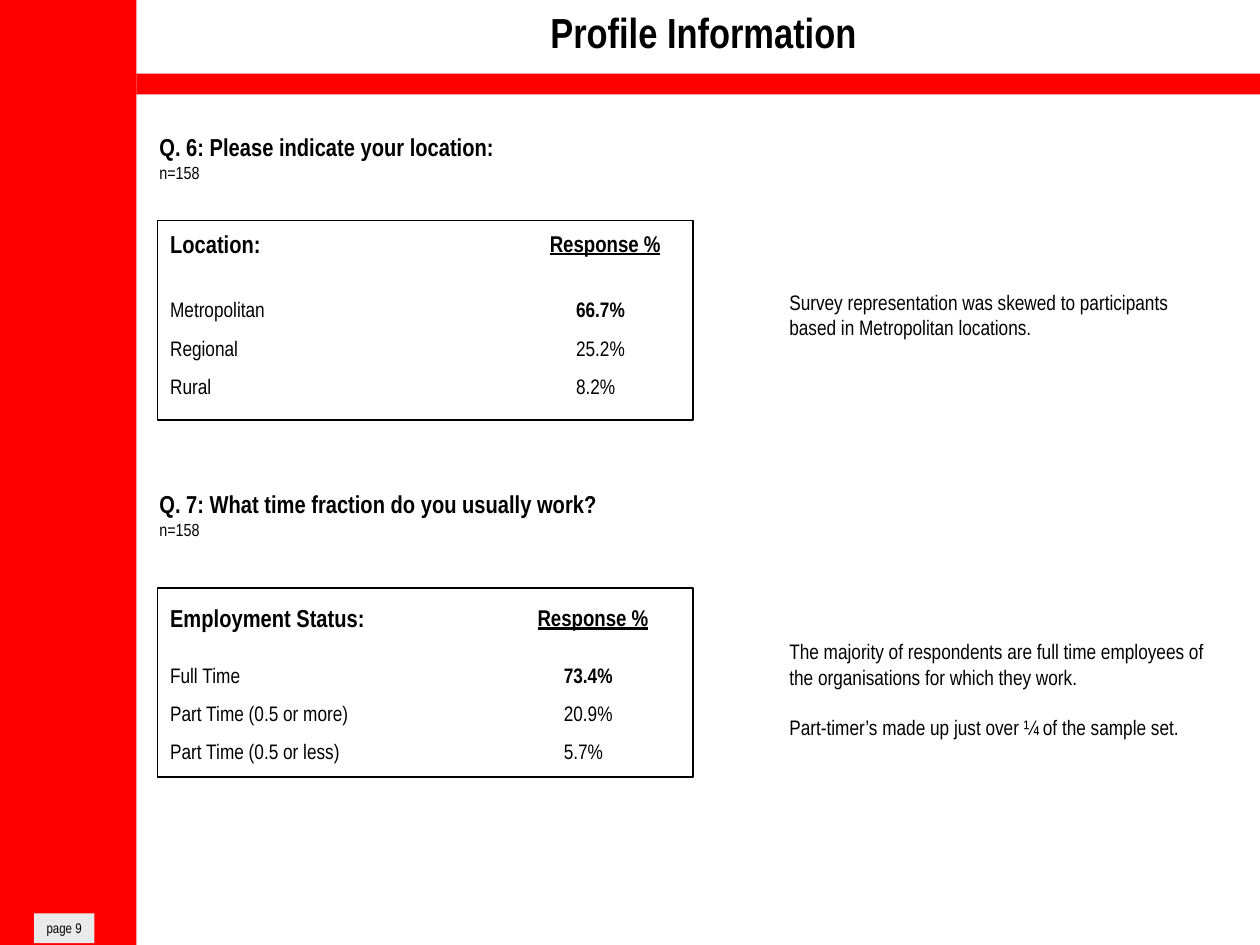
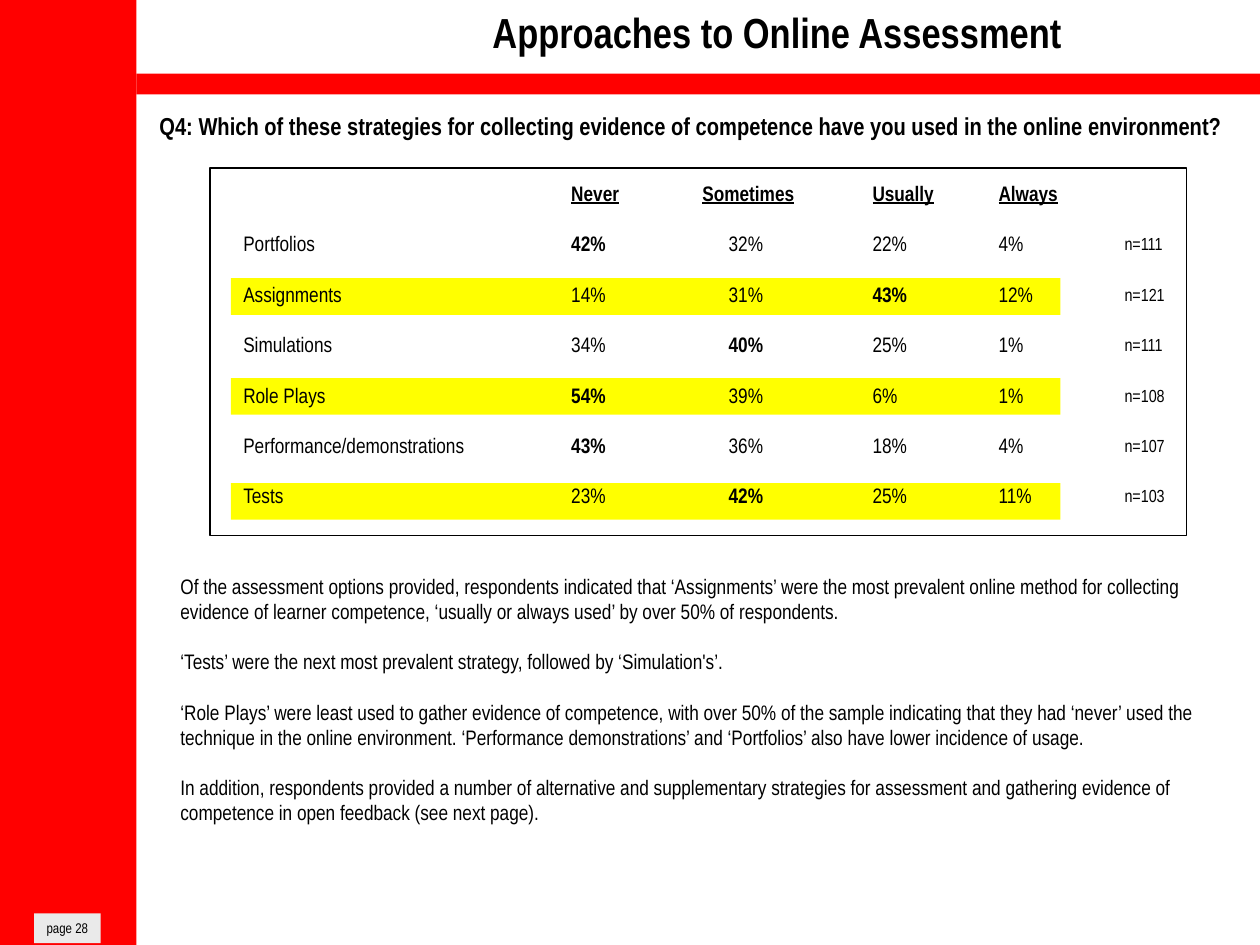
"""Build two survey result slides with red bands, tables and comments."""
from pptx import Presentation
from pptx.dml.color import RGBColor
from pptx.enum.shapes import MSO_SHAPE
from pptx.enum.text import MSO_ANCHOR, MSO_AUTO_SIZE, PP_ALIGN
from pptx.util import Pt

RECT = MSO_SHAPE.RECTANGLE
TOP, MIDDLE = MSO_ANCHOR.TOP, MSO_ANCHOR.MIDDLE
CENTER, LEFT = PP_ALIGN.CENTER, PP_ALIGN.LEFT
NO_FIT = MSO_AUTO_SIZE.NONE

RED = RGBColor(0xFF, 0x00, 0x00)
YELLOW = RGBColor(0xFF, 0xFF, 0x00)
GREY = RGBColor(0xEA, 0xEA, 0xEA)
BLACK = RGBColor(0x00, 0x00, 0x00)

FONT = "Arial Narrow"
PLAIN_GRID = "{2D5ABB26-0587-4C30-8999-92F81FD0307C}"
TITLE_ONLY = 5
PAD, INDENT = 7.2, 15


def write(para, text, size, bold=False, under=False):
    """Add one styled run to a paragraph."""
    run = para.add_run()
    run.text = text
    font = run.font
    font.name, font.size, font.bold = FONT, Pt(size), bold
    font.underline = under
    font.color.rgb = BLACK


def block(slide, box, fill=None, line=None):
    """Draw a rectangle with an optional fill and outline."""
    shape = slide.shapes.add_shape(RECT, *map(Pt, box))
    shape.shadow.inherit = False
    if fill is None:
        shape.fill.background()
    else:
        shape.fill.solid()
        shape.fill.fore_color.rgb = fill
    if line is None:
        shape.line.fill.background()
    else:
        shape.line.color.rgb = line
        shape.line.width = Pt(0.75)
    return shape


def note(slide, box, lines, gap=0):
    """Add a text box of (text, size, bold) lines set apart by a gap."""
    frame = slide.shapes.add_textbox(*map(Pt, box)).text_frame
    frame.word_wrap = True
    for i, line in enumerate(lines):
        para = frame.add_paragraph() if i else frame.paragraphs[0]
        if i:
            para.space_before = Pt(gap)
        write(para, *line)


def remark(slide, box, texts):
    """Add plain comment paragraphs one blank line apart."""
    note(slide, box, [(text, 12) for text in texts], 14.4)


def ask(slide, top, text):
    """Add a question with its sample size."""
    note(slide, (84, top, 336, 36), [(text, 14, True), ("n=158", 10)])


def grid(slide, left, top, widths, heights):
    """Add a table without fills, borders or banding."""
    box = map(Pt, (left, top, sum(widths), sum(heights)))
    shape = slide.shapes.add_table(len(heights), len(widths), *box)
    table = shape.table
    table.first_row = table.horz_banding = False
    props = shape._element.graphic.graphicData.tbl.tblPr
    props[0].text = PLAIN_GRID
    for col, width in zip(table.columns, widths):
        col.width = Pt(width)
    for row, height in zip(table.rows, heights):
        row.height = Pt(height)
    return table


def put(cell, text, size=12, bold=False, under=False, indent=0, foot=0):
    """Fill one table cell."""
    cell.fill.background()
    cell.vertical_anchor = MIDDLE
    cell.margin_left, cell.margin_right = Pt(PAD + indent), Pt(0)
    cell.margin_top, cell.margin_bottom = Pt(0), Pt(foot)
    if text:
        write(cell.text_frame.paragraphs[0], text, size, bold, under)


def shares(slide, top, split, head, foot, step, label, rows):
    """Add a two-column table of answers, with the first share in bold."""
    heights = [head] + [step] * len(rows)
    table = grid(slide, 90, top, (split - 90, 396 - split), heights)
    put(table.cell(0, 0), label, 14, True, foot=foot)
    put(table.cell(0, 1), "Response %", 13, True, True, foot=foot)
    for i, (name, share) in enumerate(rows, 1):
        put(table.cell(i, 0), name)
        put(table.cell(i, 1), share, bold=i == 1, indent=INDENT)


def usage(slide, rows):
    """Add the strategy table, with the highest share of each row in bold."""
    heads = ("", "Never", "Sometimes", "Usually", "Always", "")
    widths = (187.4, 75, 97.2, 72, 72, 42.4)
    table = grid(slide, 131.8, 97.6, widths, [28.8] * (len(rows) + 1))
    for j, head in enumerate(heads):
        put(table.cell(0, j), head, 12, True, True)
    for i, (name, *parts, count) in enumerate(rows, 1):
        put(table.cell(i, 0), name)
        for j, part in enumerate(parts, 1):
            put(table.cell(i, j), f"{part}%", bold=part == max(parts),
                indent=INDENT if j == 2 else 0)
        put(table.cell(i, 5), f"n={count}", 10)


def base(deck, title, left, page, width):
    """Add a slide with its title, red bands and page tag."""
    slide = deck.slides.add_slide(deck.slide_layouts[TITLE_ONLY])
    block(slide, (0, 0, 78, 540), RED)
    block(slide, (78, 42, 642, 12), RED)
    tag = block(slide, (19.5, 522, width, 17), GREY).text_frame
    tag.word_wrap = False
    tag.vertical_anchor = TOP
    tag.paragraphs[0].alignment = LEFT
    write(tag.paragraphs[0], f"page {page}", 8)
    head = slide.shapes.title
    head.left, head.top, head.width, head.height = map(Pt, (left, 0, 636, 36))
    frame = head.text_frame
    frame.auto_size, frame.vertical_anchor = NO_FIT, TOP
    frame.paragraphs[0].alignment = CENTER
    write(frame.paragraphs[0], title, 24, True)
    return slide


def profile(deck):
    """Build the profile slide."""
    slide = base(deck, "Profile Information", 84, 9, 34.5)
    ask(slide, 72, "Q. 6: Please indicate your location:")
    ask(slide, 276, "Q. 7: What time fraction do you usually work?")
    block(slide, (90, 126, 306, 114), line=BLACK)
    block(slide, (90, 336, 306, 108), line=BLACK)
    shares(slide, 126, 307, 41.4, 11.4, 22, "Location:", (
        ("Metropolitan", "66.7%"), ("Regional", "25.2%"), ("Rural", "8.2%")))
    shares(slide, 342, 300, 34.5, 8.7, 21.8, "Employment Status:", (
        ("Full Time", "73.4%"),
        ("Part Time (0.5 or more)", "20.9%"),
        ("Part Time (0.5 or less)", "5.7%")))
    remark(slide, (444, 162, 252, 36), (
        "Survey representation was skewed to participants based in "
        "Metropolitan locations.",))
    remark(slide, (444, 361.5, 252, 65), (
        "The majority of respondents are full time employees of the "
        "organisations for which they work.",
        "Part-timer’s made up just over ¼ of the sample set."))


def methods(deck):
    """Build the assessment slide."""
    slide = base(deck, "Approaches to Online Assessment", 126, 28, 38)
    note(slide, (84, 60, 636, 24), [(
        "Q4: Which of these strategies for collecting evidence of competence "
        "have you used in the online environment?", 14, True)])
    for top in (159, 216, 276):
        block(slide, (132, top, 474, 21), YELLOW)
    block(slide, (120, 96, 558, 210), line=BLACK)
    usage(slide, (
        ("Portfolios", 42, 32, 22, 4, 111),
        ("Assignments", 14, 31, 43, 12, 121),
        ("Simulations", 34, 40, 25, 1, 111),
        ("Role Plays", 54, 39, 6, 1, 108),
        ("Performance/demonstrations", 43, 36, 18, 4, 107),
        ("Tests", 23, 42, 25, 11, 103)))
    remark(slide, (96, 324, 606, 209), (
        "Of the assessment options provided, respondents indicated that "
        "‘Assignments’ were the most prevalent online method for collecting "
        "evidence of learner competence, ‘usually or always used’ by over "
        "50% of respondents.",
        "‘Tests’ were the next most prevalent strategy, followed by "
        "‘Simulation's’.",
        "‘Role Plays’ were least used to gather evidence of competence, with "
        "over 50% of the sample indicating that they had ‘never’ used the "
        "technique in the online environment. ‘Performance demonstrations’ "
        "and ‘Portfolios’ also have lower incidence of usage.",
        "In addition, respondents provided a number of alternative and "
        "supplementary strategies for assessment and gathering evidence of "
        "competence in open feedback (see next page)."))


def main():
    """Build and save the deck."""
    deck = Presentation()
    deck.slide_width, deck.slide_height = Pt(720), Pt(540)
    profile(deck)
    methods(deck)
    deck.save("out.pptx")


if __name__ == "__main__":
    main()
